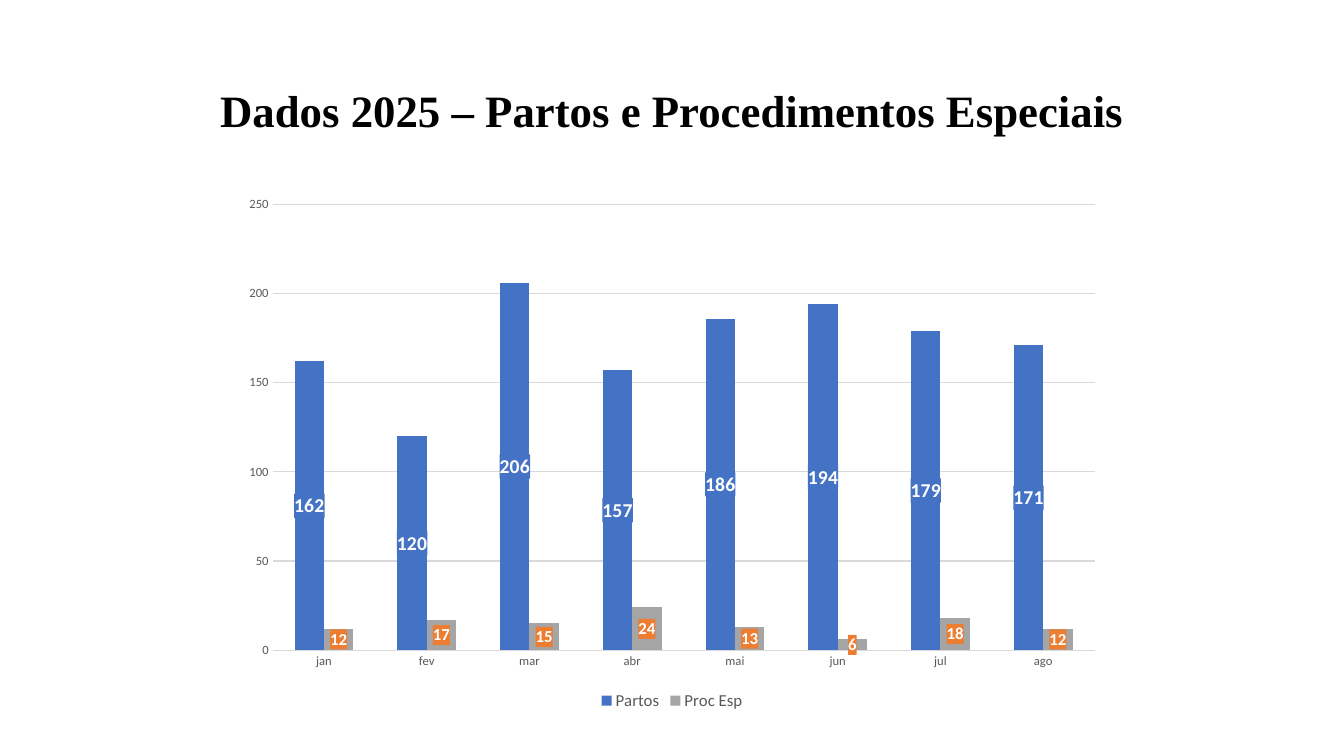
from dataclasses import dataclass

from lxml.etree import SubElement
from pptx import Presentation
from pptx.chart.chart import Chart
from pptx.chart.data import CategoryChartData
from pptx.dml.color import RGBColor
from pptx.enum.chart import XL_CHART_TYPE as ChartType
from pptx.enum.chart import XL_LABEL_POSITION as LabelPos
from pptx.enum.chart import XL_LEGEND_POSITION as LegendPos
from pptx.enum.chart import XL_TICK_MARK as Tick
from pptx.enum.text import MSO_ANCHOR as Anchor
from pptx.enum.text import PP_ALIGN as Align
from pptx.oxml.ns import qn
from pptx.slide import Slide
from pptx.text.text import Font
from pptx.util import Inches, Pt

BLACK = RGBColor(0x00, 0x00, 0x00)
WHITE = RGBColor(0xFF, 0xFF, 0xFF)
BLUE = RGBColor(0x44, 0x72, 0xC4)
GRAY = RGBColor(0xA5, 0xA5, 0xA5)
ORANGE = RGBColor(0xED, 0x7D, 0x31)
TEXT_GRAY = RGBColor(0x59, 0x59, 0x59)
LINE_GRAY = RGBColor(0xD9, 0xD9, 0xD9)

WIDTH, HEIGHT = Inches(13.33), Inches(7.5)
MONTHS = ("jan", "fev", "mar", "abr", "mai", "jun", "jul", "ago")


@dataclass(frozen=True)
class Box:
    """Area given as shares of the slide's width and height."""

    left: float
    top: float
    width: float
    height: float

    def emu(self) -> dict[str, int]:
        """Return the area in slide units."""
        return {
            "left": round(self.left * WIDTH),
            "top": round(self.top * HEIGHT),
            "width": round(self.width * WIDTH),
            "height": round(self.height * HEIGHT),
        }


@dataclass(frozen=True)
class Bars:
    """One column series with the look of its labels."""

    name: str
    values: tuple[int, ...]
    color: RGBColor
    label_fill: RGBColor
    label_size: int


TITLE_BOX = Box(0.07, 0.053, 0.86, 0.193)
CHART_BOX = Box(0.1725, 0.2467, 0.655, 0.6987)
SERIES = (
    Bars("Partos", (162, 120, 206, 157, 186, 194, 179, 171), BLUE, BLUE, 14),
    Bars("Proc Esp", (12, 17, 15, 24, 13, 6, 18, 12), GRAY, ORANGE, 12),
)


def set_all(target: object, values: dict[str, object]) -> None:
    """Set each attribute in the dict."""
    for name, value in values.items():
        setattr(target, name, value)


def set_font(font: Font, size: int, color: RGBColor, name: str = "Calibri", bold: bool = False) -> None:
    """Format a font."""
    set_all(font, {"name": name, "size": Pt(size), "bold": bold})
    font.color.rgb = color


def add_title(s: Slide, text: str) -> None:
    """Place and format the slide title."""
    title = s.shapes.title
    set_all(title, TITLE_BOX.emu())
    tf = title.text_frame
    set_all(tf, {"word_wrap": True, "vertical_anchor": Anchor.MIDDLE})
    p = tf.paragraphs[0]
    set_all(p, {"alignment": Align.CENTER, "line_spacing": 0.9})
    r = p.add_run()
    r.text = text
    set_font(r.font, 32, BLACK, "Times New Roman", True)


def format_axes(chart: Chart) -> None:
    """Format both axes and the gridlines."""
    cat, val = chart.category_axis, chart.value_axis
    for axis in (cat, val):
        set_all(axis, {"major_tick_mark": Tick.NONE, "minor_tick_mark": Tick.NONE})
        set_font(axis.tick_labels.font, 9, TEXT_GRAY)
    set_all(val, {"minimum_scale": 0, "maximum_scale": 250, "major_unit": 50, "has_major_gridlines": True})
    set_all(val.tick_labels, {"number_format": "0", "number_format_is_linked": False})
    val.format.line.fill.background()
    for line in (cat.format.line, val.major_gridlines.format.line):
        line.width = Pt(0.75)
        line.color.rgb = LINE_GRAY


def format_bars(chart: Chart, bars: Bars, index: int) -> None:
    """Colour a series and its boxed labels."""
    series = chart.plots[0].series[index]
    series.format.fill.solid()
    series.format.fill.fore_color.rgb = bars.color
    labels = series.data_labels
    set_all(labels, {
        "show_value": True,
        "position": LabelPos.CENTER,
        "number_format": "0",
        "number_format_is_linked": False,
    })
    set_font(labels.font, bars.label_size, WHITE, bold=True)
    d_lbls = series.data_labels._element
    sp_pr = SubElement(d_lbls, qn("c:spPr"))
    fill = SubElement(sp_pr, qn("a:solidFill"))
    SubElement(fill, qn("a:srgbClr"), val=str(bars.label_fill))
    d_lbls.find(qn("c:txPr")).addprevious(sp_pr)


def add_chart(s: Slide) -> None:
    """Add the clustered column chart."""
    data = CategoryChartData(number_format="0")
    data.categories = MONTHS
    for bars in SERIES:
        data.add_series(bars.name, bars.values)
    box = CHART_BOX.emu()
    frame = s.shapes.add_chart(
        ChartType.COLUMN_CLUSTERED, box["left"], box["top"], box["width"], box["height"], data
    )
    chart = frame.chart
    set_font(chart.font, 10, BLACK)
    set_all(chart, {"has_title": False, "has_legend": True})
    set_all(chart.legend, {"position": LegendPos.BOTTOM, "include_in_layout": False})
    set_font(chart.legend.font, 12, TEXT_GRAY)
    set_all(chart.plots[0], {"gap_width": 150, "overlap": 0, "vary_by_categories": False})
    format_axes(chart)
    for index, bars in enumerate(SERIES):
        format_bars(chart, bars, index)


def main() -> None:
    """Build and save the slide."""
    prs = Presentation()
    set_all(prs, {"slide_width": WIDTH, "slide_height": HEIGHT})
    s = prs.slides.add_slide(prs.slide_layouts.get_by_name("Title Only"))
    add_title(s, "Dados 2025 – Partos e Procedimentos Especiais")
    add_chart(s)
    prs.save("out.pptx")


if __name__ == "__main__":
    main()
